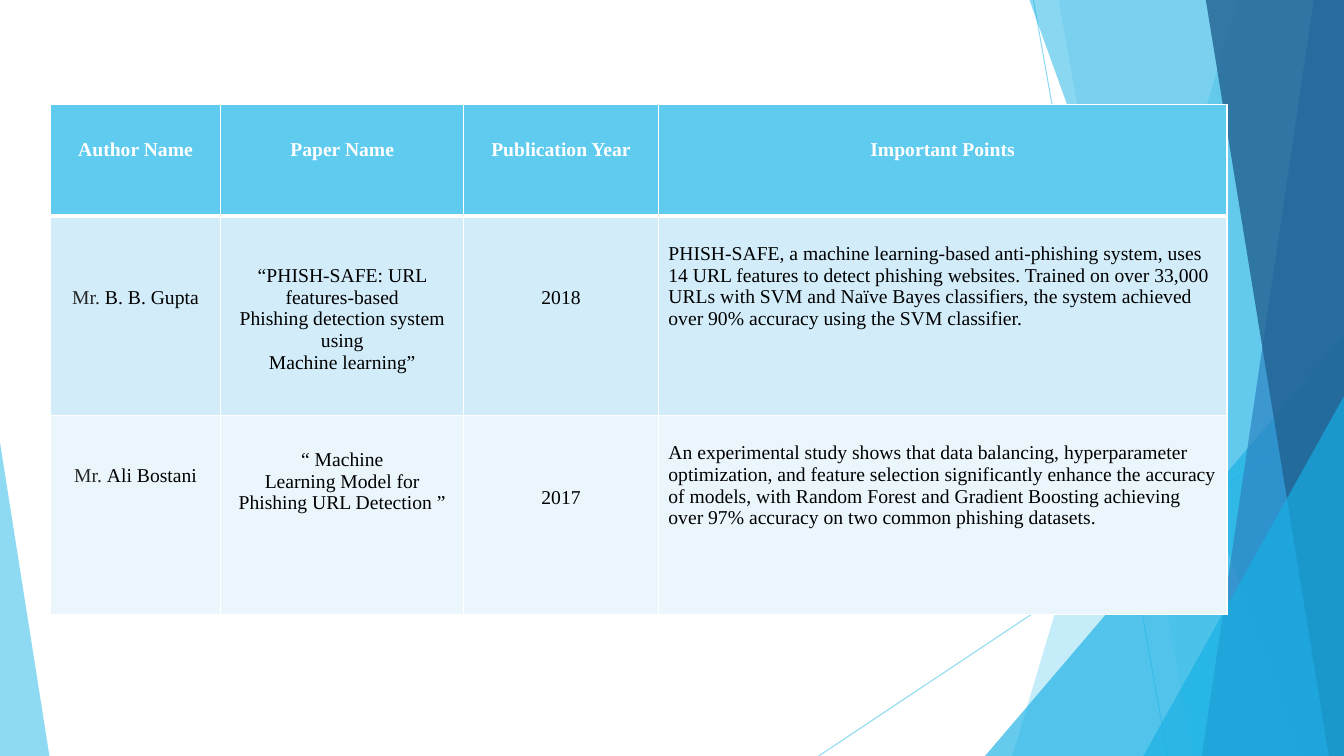
from pptx import Presentation
from pptx.dml.color import RGBColor
from pptx.enum.shapes import MSO_CONNECTOR as Link, MSO_SHAPE as Shape
from pptx.enum.text import PP_ALIGN as Align
from pptx.oxml.ns import qn
from pptx.util import Inches, Pt
from lxml.etree import SubElement

WHITE = RGBColor(0xFF, 0xFF, 0xFF)
BLACK = RGBColor(0, 0, 0)
GREY = RGBColor(0x26, 0x26, 0x26)
SKY = RGBColor(0x5F, 0xCB, 0xEF)
CYAN = RGBColor(0x17, 0xB0, 0xE4)
BLUE = RGBColor(0x2E, 0x83, 0xC3)
NAVY = RGBColor(0x22, 0x62, 0x92)
PALE = RGBColor(0xD2, 0xEC, 0xF9)
MIST = RGBColor(0xEA, 0xF6, 0xFC)

WIDE, HIGH = 13.33, 7.5
INSET, LINE = 0.05, 0.22
COLS = [1.69, 2.41, 1.93, 5.64]
ROWS = [1.1, 1.98, 1.98]
HEADS = ["Author Name", "Paper Name", "Publication Year", "Important Points"]

# Each cell: lines of space above the text, then its paragraphs
PAPERS = [
    [(3, [[("Mr.", GREY), (" B. B. Gupta", BLACK)]]),
     (2, ["“PHISH-SAFE: URL features-based",
          "Phishing detection system using",
          "Machine learning”"]),
     (3, ["2018"]),
     (1, ["PHISH-SAFE, a machine learning-based anti-phishing system, uses "
          "14 URL features to detect phishing websites. Trained on over 33,000 "
          "URLs with SVM and Naïve Bayes classifiers, the system achieved "
          "over 90% accuracy using the SVM classifier."])],
    [(2, [[("Mr. ", GREY), ("Ali Bostani", BLACK)]]),
     (1.3, ["“ Machine", "Learning Model for Phishing URL Detection ”"]),
     (3, ["2017"]),
     (1, ["An experimental study shows that data balancing, hyperparameter "
          "optimization, and feature selection significantly enhance the accuracy "
          "of models, with Random Forest and Gradient Boosting achieving "
          "over 97% accuracy on two common phishing datasets."])],
]


class Deck:
    font, size = "Times New Roman", Pt(14)

    def __init__(self):
        self.prs = Presentation()
        self.prs.slide_width = Inches(WIDE)
        self.prs.slide_height = Inches(HIGH)
        self.slide = self.prs.slides.add_slide(self.prs.slide_layouts[6])
        self.shapes = self.slide.shapes

    def fade(self, shape, alpha):
        """Set the opacity, in percent, of the shape's colour."""
        for tone in shape.element.iter(qn("a:srgbClr")):
            SubElement(tone, qn("a:alpha")).set("val", str(alpha * 1000))

    def paint(self, shape, color, alpha):
        shape.shadow.inherit = False
        shape.fill.solid()
        shape.fill.fore_color.rgb = color
        shape.line.fill.background()
        self.fade(shape, alpha)

    def rule(self, start, end):
        line = self.shapes.add_connector(
            Link.STRAIGHT, *[Inches(v) for v in (*start, *end)])
        line.line.color.rgb = SKY
        line.line.width = Pt(0.75)
        SubElement(line.element.spPr, qn("a:effectLst"))
        self.fade(line, 70)

    def band(self, top, foot, color, alpha):
        """Fill from a slanted left edge to the right side of the slide."""
        pen = self.shapes.build_freeform(Inches(top), 0)
        pen.add_line_segments(
            [(Inches(x), Inches(y)) for x, y in
             ((WIDE, 0), (WIDE, HIGH), (foot, HIGH))], close=True)
        self.paint(pen.convert_to_shape(), color, alpha)

    def wedge(self, left, top, width, tip, color, alpha):
        """Add a triangle standing on the slide's bottom edge."""
        shape = self.shapes.add_shape(
            Shape.ISOSCELES_TRIANGLE, Inches(left), Inches(top),
            Inches(width), Inches(HIGH - top))
        shape.adjustments[0] = tip
        self.paint(shape, color, alpha)

    def edge(self, cell, foot):
        """Draw white cell borders, the bottom one foot points wide."""
        props = cell._tc.get_or_add_tcPr()
        for side, width in (("L", 1), ("R", 1), ("T", 1), ("B", foot)):
            line = SubElement(props, qn("a:ln" + side), w=str(Pt(width)))
            fill = SubElement(line, qn("a:solidFill"))
            SubElement(fill, qn("a:srgbClr")).set("val", str(WHITE))

    def text(self, cell, paras, color, bold, align):
        frame = cell.text_frame
        for i, runs in enumerate(paras):
            para = frame.add_paragraph() if i else frame.paragraphs[0]
            para.alignment = align
            for words, tone in [(runs, color)] if isinstance(runs, str) else runs:
                run = para.add_run()
                run.text = words
                run.font.name, run.font.size = self.font, self.size
                run.font.bold = bold
                run.font.color.rgb = tone

    def table(self, left, top, rows):
        grid = self.shapes.add_table(
            len(ROWS), len(COLS), Inches(left), Inches(top),
            Inches(sum(COLS)), Inches(sum(ROWS))).table
        for col, width in zip(grid.columns, COLS):
            col.width = Inches(width)
        for r, (cells, fill) in enumerate(zip(rows, (SKY, PALE, MIST))):
            grid.rows[r].height = Inches(ROWS[r])
            head = r == 0
            for c, (gap, paras) in enumerate(cells):
                cell = grid.cell(r, c)
                self.edge(cell, 3 if head else 1)
                cell.fill.solid()
                cell.fill.fore_color.rgb = fill
                cell.margin_top = Inches(INSET + gap * LINE)
                align = Align.LEFT if c == 3 and not head else Align.CENTER
                self.text(cell, paras, WHITE if head else BLACK, head, align)


def main():
    deck = Deck()
    deck.rule((10.25, 0), (11.58, HIGH))
    deck.rule((WIDE, 4.03), (8.12, HIGH))
    deck.band(12.28, 10.04, SKY, 36)
    deck.band(10.5, 11.83, SKY, 20)
    deck.wedge(9.77, 3.33, 3.56, 1, CYAN, 66)
    deck.band(10.21, 12.91, CYAN, 50)
    deck.band(13.03, 11.92, BLUE, 70)
    deck.band(11.96, 13.18, NAVY, 80)
    deck.wedge(11.34, 3.93, 1.99, 1, CYAN, 66)
    deck.wedge(0, 4.39, 0.49, 0, SKY, 70)
    deck.table(0.5, 1.04, [[(1.3, [head]) for head in HEADS], *PAPERS])
    deck.prs.save("out.pptx")


if __name__ == "__main__":
    main()
